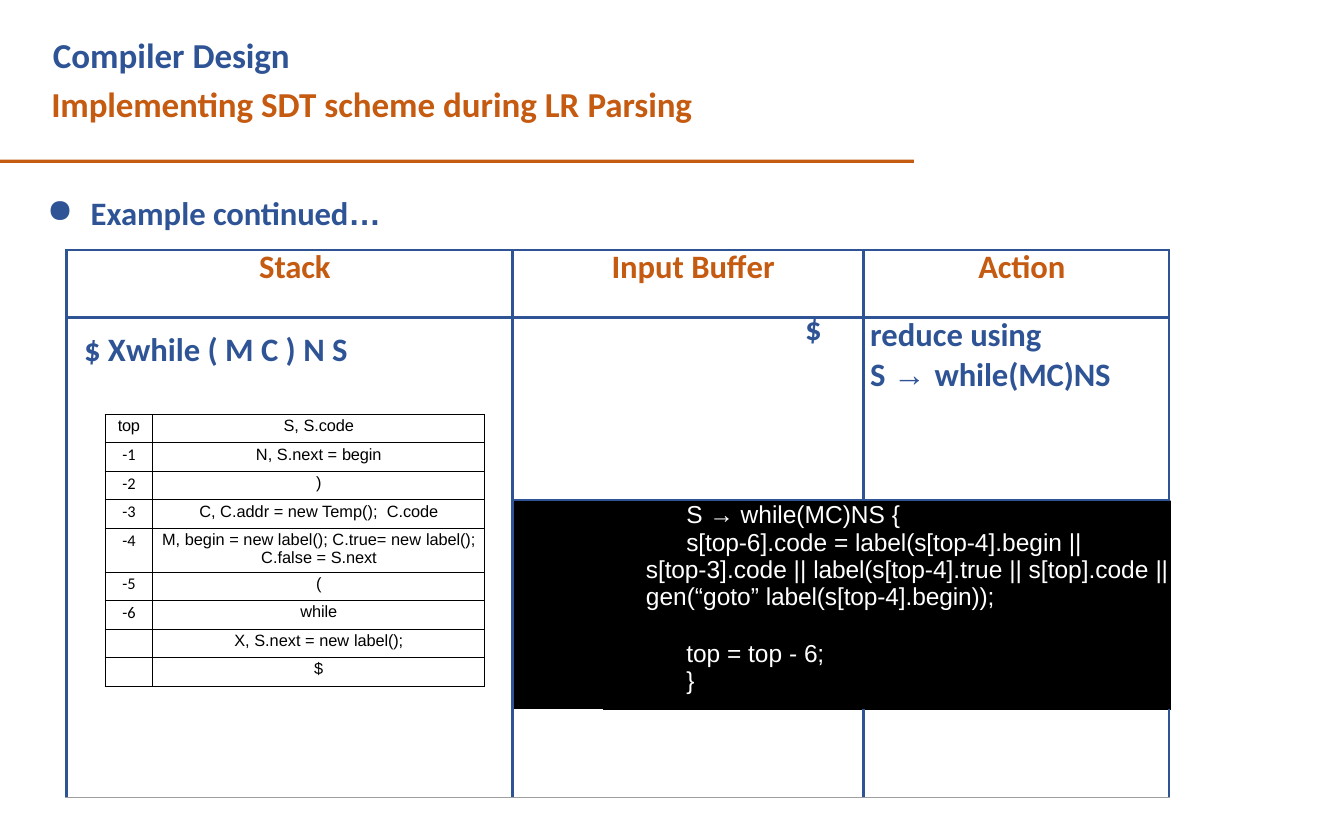
from lxml import etree
from pptx import Presentation
from pptx.dml.color import RGBColor
from pptx.enum import shapes, text
from pptx.oxml import ns
from pptx.util import Inches, Pt

BLUE = RGBColor(0x2F, 0x54, 0x96)
RUST = RGBColor(0xC5, 0x5A, 0x11)
GREY = RGBColor(0x9E, 0x9E, 0x9E)
BLACK = RGBColor(0, 0, 0)
WHITE = RGBColor(255, 255, 255)
SANS, BODY = "Arial", "Calibri"
MID, RIGHT = text.PP_ALIGN.CENTER, text.PP_ALIGN.RIGHT
THICK, THIN = 2.25, 0.75

# Runs are (text, letter spacing in hundredths of a point, optional font).
STACK = [
    ("top", [("S, ", 0), ("S.code", -10)]),
    (-1, [("N, S.next = ", 0), ("begin", -10)]),
    (-2, [(")", 0)]),
    (-3, [("C, C.addr = new Temp();  ", 0), ("C.code", -10)]),
    (-4, [("M, begin = new label(); C.true= new ", 0), ("label(); ", -10),
          ("C.false = ", 0), ("S.next", -10)]),
    (-5, [("(", 0)]),
    (-6, [("while", -10)]),
    (None, [("X, S.next = new ", 0), ("label();", -10)]),
    (None, [("$", -50)]),
]
# Each line of code: indent, space before, runs.
CODE = [
    (2.07, 0, [("S → while(MC)NS ", 0), ("{", -50)]),
    (2.07, 0, [("s[top-", -10), ("6].code = ", 0), ("label(s[top-", -10),
               ("4].begin ", 0), ("||", -20)]),
    (1.59, 0, [("s[top-", -10), ("3].code || ", 0), ("label(s[top-", -10),
               ("4].true || s[top].code ", 0), ("|| ", -20),
               ("gen(“goto” ", 0), ("label(s[top-4].begin));", -10)]),
    (2.07, 25, [("top = top - ", 0), ("6;", -20)]),
    (2.07, 0, [("}", -50)]),
]


class Page:
    def __init__(self, deck):
        self.slide = deck.slides.add_slide(deck.slide_layouts[5])
        self.items = self.slide.shapes

    def style(self, size, color, font=BODY, bold=True):
        self.size, self.color, self.font, self.bold = size, color, font, bold

    def frame(self, frame, top=0):
        frame.word_wrap = True
        frame.vertical_anchor = text.MSO_ANCHOR.TOP
        frame.margin_left = frame.margin_right = frame.margin_bottom = 0
        frame.margin_top = Inches(top)

    def para(self, frame, runs, left=0, hang=0, align=text.PP_ALIGN.LEFT,
             before=0, line=None, bullet=None, tab=None):
        """Fill the empty first paragraph, or add one after the others."""
        para = frame.paragraphs[0]
        if para.runs:
            para = frame.add_paragraph()
        props = para._p.get_or_add_pPr()
        props.set("marL", str(Inches(left)))
        props.set("indent", str(Inches(hang)))
        if bullet:
            etree.SubElement(props, ns.qn("a:buChar"), char=bullet)
        else:
            etree.SubElement(props, ns.qn("a:buNone"))
        if tab:
            tabs = etree.SubElement(props, ns.qn("a:tabLst"))
            etree.SubElement(tabs, ns.qn("a:tab"), pos=str(Inches(tab)), algn="l")
        para.alignment = align
        para.space_before = Pt(before)
        if line:
            para.line_spacing = Pt(line)
        for words, gap, *font in runs:
            run = para.add_run()
            run.text = words
            run.font.name = font[0] if font else self.font
            run.font.size, run.font.bold = Pt(self.size), self.bold
            run.font.color.rgb = self.color
            run._r.get_or_add_rPr().set("spc", str(gap))

    def title(self, x, y, w, h, top):
        box = self.items.title
        box.left, box.top, box.width, box.height = map(Inches, (x, y, w, h))
        self.frame(box.text_frame, top)
        box.text_frame.auto_size = text.MSO_AUTO_SIZE.NONE
        return box.text_frame

    def box(self, x, y, w, h, top):
        box = self.items.add_textbox(*map(Inches, (x, y, w, h)))
        self.frame(box.text_frame, top)
        return box.text_frame

    def block(self, x, y, w, h, color):
        block = self.items.add_shape(shapes.MSO_SHAPE.RECTANGLE,
                                     *map(Inches, (x, y, w, h)))
        block.shadow.inherit = False
        block.fill.solid()
        block.fill.fore_color.rgb = color
        block.line.fill.background()

    def table(self, x, y, cols, rows, top=0):
        size = map(Inches, (x, y, sum(cols), sum(rows)))
        grid = self.items.add_table(len(rows), len(cols), *size).table
        grid.first_row = grid.horz_banding = False
        for col, width in zip(grid.columns, cols):
            col.width = Inches(width)
        for row, height in zip(grid.rows, rows):
            row.height = Inches(height)
        for cell in grid.iter_cells():
            cell.margin_left = cell.margin_right = cell.margin_bottom = 0
            cell.margin_top = Inches(top)
        return grid

    def edge(self, cell, sides, color, width, base=False, fill=None):
        """Rule the named sides; base adds a thin grey lower edge."""
        props = cell._tc.get_or_add_tcPr()
        for side in "LRTB":
            grey = base and side == "B"
            line = etree.SubElement(props, ns.qn("a:ln" + side),
                                    w=str(Pt(THIN if grey else width)))
            if grey or side in sides:
                paint = etree.SubElement(line, ns.qn("a:solidFill"))
                etree.SubElement(paint, ns.qn("a:srgbClr"),
                                 val=str(GREY if grey else color))
            else:
                etree.SubElement(line, ns.qn("a:noFill"))
        if fill is None:
            cell.fill.background()
        else:
            cell.fill.solid()
            cell.fill.fore_color.rgb = fill


def stack(page):
    rows = [0.52 if key == -4 else 0.34 for key, _ in STACK]
    grid = page.table(1.25, 4.93, [0.57, 3.95], rows, 0.03)
    page.style(14, BLACK, SANS, False)
    for row, (key, runs) in enumerate(STACK):
        mark, item = grid.cell(row, 0), grid.cell(row, 1)
        for cell in (mark, item):
            page.edge(cell, "LRTB", BLACK, THIN)
        if key == "top":
            page.para(mark.text_frame, [(key, -20)], align=MID)
        elif key:
            page.para(mark.text_frame, [("-", 0, BODY), (str(-key), -50, BODY)],
                      align=MID)
        if key == -4:
            page.para(item.text_frame, runs, 1.29, -1.18)
        else:
            page.para(item.text_frame, runs, align=MID)


def trace(page):
    grid = page.table(0.79, 2.98, [5.31, 4.18, 3.64], [0.8, 2.17, 2.49, 1.05])
    grid.cell(1, 0).merge(grid.cell(3, 0))
    grid.cell(2, 1).merge(grid.cell(2, 2))
    sides = [["LRTB"] * 3, ["LRT", "LRTB", "LRTB"], ["LR", "LT", "T"], ["LR"] * 3]
    for row, line in enumerate(sides):
        for col, names in enumerate(line):
            base = row == 3 or (row, col) == (1, 0)
            fill = BLACK if row == 2 and col else None
            page.edge(grid.cell(row, col), names, BLUE, THICK, base, fill)

    def area(row, col):
        return grid.cell(row, col).text_frame

    page.style(28, RUST)
    page.para(area(0, 0), [("Stack", -10)], 0.13, align=MID, line=32.1)
    page.para(area(0, 1), [("Input ", 0), ("Buffer", -10)], 1.18, line=32.1)
    page.para(area(0, 2), [("Action", -10)], 0.13, align=MID, line=32.1)
    page.style(28, BLUE)
    grid.cell(1, 0).margin_top = Inches(0.15)
    page.para(area(1, 0), [("$ ", 0), ("X", -50), ("\twhile ( M C ) N ", 0),
                           ("S", -50)], 0.21, tab=0.89)
    grid.cell(1, 1).margin_right = Inches(0.5)
    page.para(area(1, 1), [("$", -50)], align=RIGHT, line=27.1)
    page.para(area(1, 2), [("reduce ", 0), ("using", -10)], 0.08, line=32.1)
    page.para(area(1, 2), [("S ", 0), ("→ ", 0, SANS), ("while(MC)NS", -10)], 0.08)
    page.style(21, WHITE, SANS, False)
    for row, (left, before, runs) in enumerate(CODE):
        page.para(area(2, 1), runs, left, before=before,
                  line=None if row else 25.1)


def main():
    deck = Presentation()
    deck.slide_width, deck.slide_height = Inches(16), Inches(10)
    page = Page(deck)
    head = page.title(-0.01, 0.2, 10.91, 1.78, 0.2)
    page.style(30, BLUE)
    page.para(head, [("Compiler ", 0), ("Design", -10)], 0.64)
    page.style(30, RUST)
    page.para(head, [("Implementing ", -10), ("SDT scheme during LR ", 0),
                     ("Parsing", -10)], 0.62, before=6)
    page.block(0, 1.9, 10.88, 0.04, RUST)
    page.style(28, BLUE)
    page.para(page.box(0.54, 2.28, 4.03, 0.49, 0.02),
              [("Example ", 0), ("continued", -10), ("…", -10, SANS)],
              0.54, -0.52, bullet="●")
    stack(page)
    page.block(7.18, 5.96, 6.76, 2.49, BLACK)
    trace(page)
    deck.save("out.pptx")


if __name__ == "__main__":
    main()
